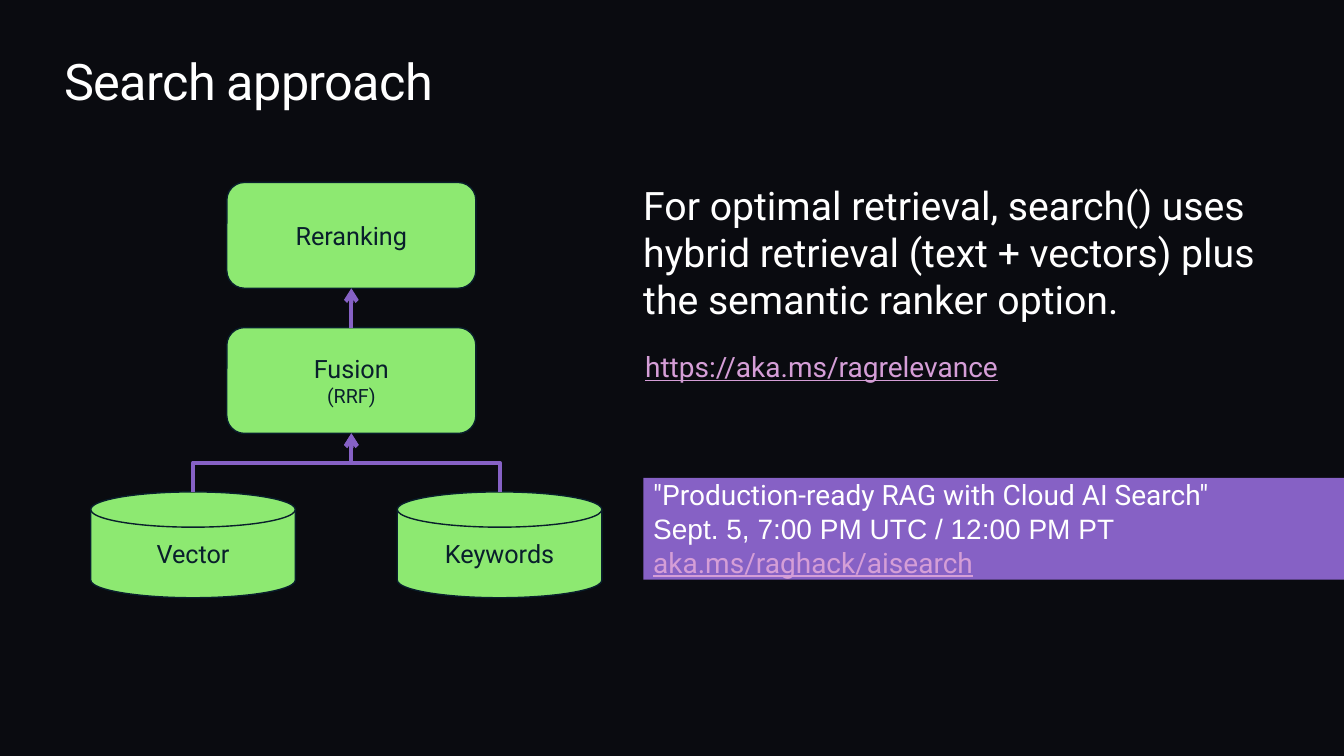
from dataclasses import dataclass

from lxml.etree import SubElement
from pptx import Presentation
from pptx.dml.color import RGBColor
from pptx.enum.shapes import MSO_CONNECTOR as Link, MSO_SHAPE as Kind
from pptx.enum.text import MSO_ANCHOR as Anchor, PP_ALIGN as Align
from pptx.oxml.ns import qn
from pptx.util import Inches, Pt

DARK, INK, WHITE = "0A0B10", "091F2C", "FFFFFF"
GREEN, PURPLE, PINK = "8DE971", "8661C5", "D59ED7"


@dataclass
class Run:
    text: str
    size: float
    color: str = WHITE
    font: str = "Roboto"
    under: bool = False
    track: int = 0


@dataclass
class Node:
    kind: Kind
    left: float
    top: float
    width: float
    runs: list[Run]
    height: float = 1.05

    @property
    def mid(self) -> float:
        return self.left + self.width / 2


@dataclass
class Label:
    left: float
    top: float
    width: float
    height: float
    runs: list[Run]
    side: float = 0
    head: float = 0
    fill: str = ""


def rgb(code: str) -> RGBColor:
    return RGBColor.from_string(code)


def paint(part, code: str) -> None:
    part.fill.solid()
    part.fill.fore_color.rgb = rgb(code)


def add_run(para, item: Run) -> None:
    run = para.add_run()
    run.text = item.text
    font = run.font
    font.name, font.size = item.font, Pt(item.size)
    font.color.rgb = rgb(item.color)
    if item.under:
        font.underline = True
    if item.track:
        font._element.set("spc", str(item.track))


def add_node(slide, node: Node):
    shape = slide.shapes.add_shape(
        node.kind, Inches(node.left), Inches(node.top),
        Inches(node.width), Inches(node.height))
    shape.shadow.inherit = False
    paint(shape, GREEN)
    shape.line.color.rgb = rgb(INK)
    shape.line.width = Pt(1)
    frame = shape.text_frame
    frame.word_wrap = True
    frame.vertical_anchor = Anchor.MIDDLE
    para = frame.paragraphs[0]
    para.alignment = Align.CENTER
    for index, item in enumerate(node.runs):
        if index:
            para.add_line_break()
        add_run(para, item)
    return shape


def add_label(slide, label: Label) -> None:
    box = slide.shapes.add_textbox(
        Inches(label.left), Inches(label.top),
        Inches(label.width), Inches(label.height))
    if label.fill:
        paint(box, label.fill)
    frame = box.text_frame
    frame.word_wrap = True
    frame.margin_left = frame.margin_right = Inches(label.side)
    frame.margin_top = frame.margin_bottom = Inches(label.head)
    for index, item in enumerate(label.runs):
        para = frame.add_paragraph() if index else frame.paragraphs[0]
        add_run(para, item)


def add_arrow(slide, kind: Link, low: Node, high: Node):
    arrow = slide.shapes.add_connector(
        kind, Inches(low.mid), Inches(low.top),
        Inches(high.mid), Inches(high.top + high.height))
    arrow.line.color.rgb = rgb(PURPLE)
    arrow.line.width = Pt(3)
    SubElement(arrow.line._get_or_add_ln(), qn("a:tailEnd"), type="arrow")
    SubElement(arrow._element.spPr, qn("a:effectLst"))
    return arrow


def add_bend(slide, low: Node, high: Node) -> None:
    arrow = add_arrow(slide, Link.ELBOW, low, high)
    rise = low.top - high.top - high.height
    run = abs(high.mid - low.mid)
    right = low.mid < high.mid
    arrow.left = Inches((low.mid + high.mid - rise) / 2)
    arrow.top = Inches(low.top - (rise + run) / 2)
    arrow.width, arrow.height = Inches(rise), Inches(run)
    frame = arrow._element.spPr.find(qn("a:xfrm"))
    frame.set("rot", str((90 if right else 270) * 60000))
    frame.set("flipH", "1" if right else "0")
    frame.set("flipV", "1")


def main() -> None:
    deck = Presentation()
    deck.slide_width, deck.slide_height = Inches(13.33), Inches(7.5)
    slide = deck.slides.add_slide(deck.slide_layouts[6])
    paint(slide.background, DARK)

    disks = [Node(Kind.FLOWCHART_MAGNETIC_DISK, left, 4.88, 2.03,
                  [Run(name, 18, INK)])
             for left, name in ((0.9, "Vector"), (3.94, "Keywords"))]
    fuse = Node(Kind.ROUNDED_RECTANGLE, 2.25, 3.25, 2.47,
                [Run("Fusion", 18, INK), Run("(RRF)", 14, INK)])
    rank = Node(Kind.ROUNDED_RECTANGLE, 2.25, 1.81, 2.47,
                [Run("Reranking", 18, INK)])
    for disk in disks:
        add_node(slide, disk)
    base, top = add_node(slide, fuse), add_node(slide, rank)

    arrow = add_arrow(slide, Link.STRAIGHT, fuse, rank)
    arrow.begin_connect(base, 0)
    arrow.end_connect(top, 2)
    for disk in disks:
        add_bend(slide, disk, fuse)

    labels = [
        Label(0.64, 0.5, 12.05, 0.61, [Run("Search approach", 36, track=-50)]),
        Label(6.38, 1.8, 6.54, 1.45, [Run(
            "For optimal retrieval, search() uses hybrid retrieval "
            "(text + vectors) plus the semantic ranker option.", 28)]),
        Label(6.3, 3.42, 3.95, 0.44, [
            Run("https://aka.ms/ragrelevance", 20, PINK, under=True)],
            side=0.1, head=0.05),
        Label(6.38, 4.74, 6.95, 1.01, [
            Run('"Production-ready RAG with Cloud AI Search"', 20),
            Run("Sept. 5, 7:00 PM UTC / 12:00 PM PT", 20, font="Arial"),
            Run("aka.ms/raghack/aisearch", 20, PINK, under=True)],
            side=0.1, fill=PURPLE),
    ]
    for label in labels:
        add_label(slide, label)
    deck.save("out.pptx")


if __name__ == "__main__":
    main()
